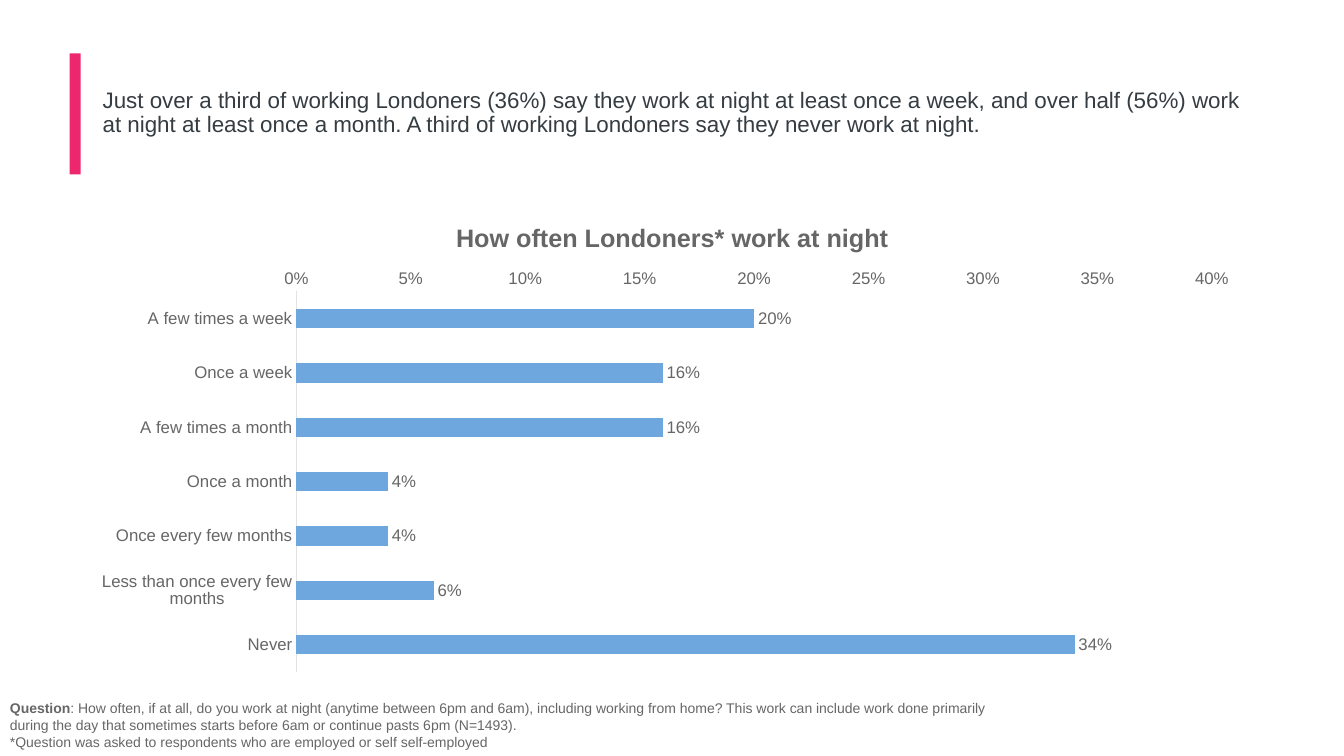
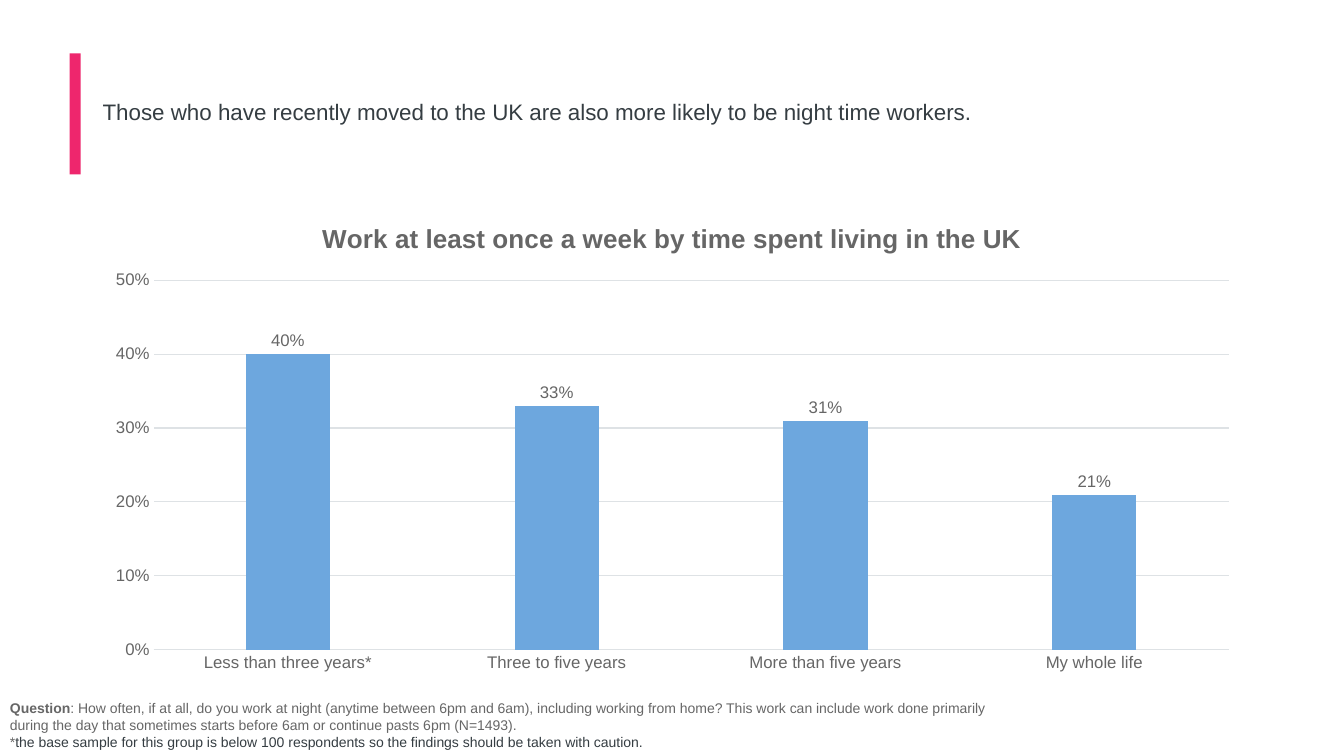
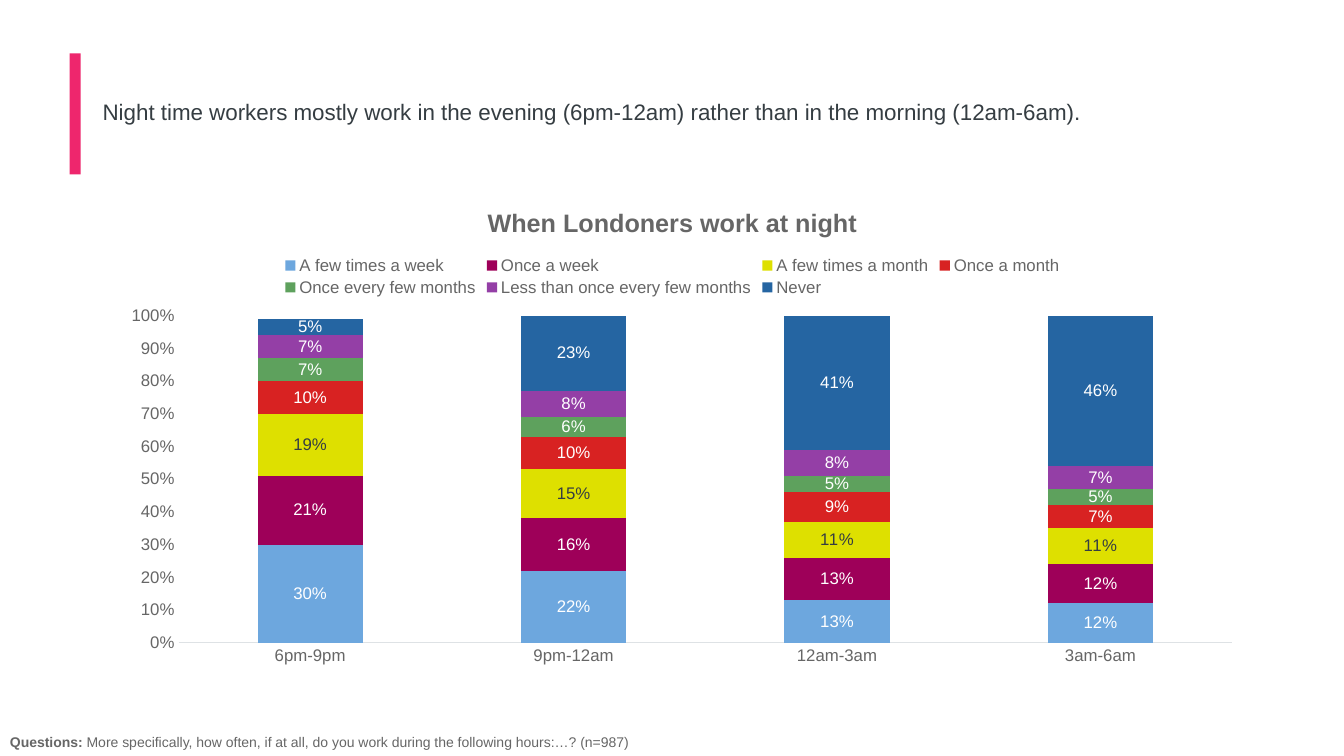
from lxml.etree import SubElement
from pptx import Presentation
from pptx.chart.data import CategoryChartData
from pptx.dml.color import RGBColor
from pptx.enum.chart import (XL_AXIS_CROSSES, XL_CHART_TYPE, XL_LABEL_POSITION,
                             XL_LEGEND_POSITION, XL_TICK_MARK)
from pptx.enum.shapes import MSO_SHAPE
from pptx.enum.text import MSO_ANCHOR
from pptx.oxml.ns import qn
from pptx.util import Pt

# Shared look
PINK, DARK, GREY, RULE = "EE266D", "353D42", "666666", "DEE2E5"
BLUE, WHITE = "6DA7DE", "FFFFFF"
WIDE, HIGH = 960, 540
LEFT, SPAN = 66.24, 828
BAR = (49.7, 38.2, 7.9, 86.4)
TITLE = (LEFT, 28.8, SPAN, 104.4)
FOOT = 716.4
BOTTOM = 486.7


def rgb(code):
    return RGBColor.from_string(code)


def style(font, size, code, bold=False):
    for key, val in {"name": "Arial", "size": Pt(size), "bold": bold}.items():
        setattr(font, key, val)
    font.color.rgb = rgb(code)


# Content
ASK = [("Question", GREY, True),
       (": How often, if at all, do you work at night (anytime between 6pm and 6am), "
        "including working from home? This work can include work done primarily during "
        "the day that sometimes starts before 6am or continue pasts 6pm (N=1493).",
        GREY, False)]
OFTEN = ["A few times a week", "Once a week", "A few times a month", "Once a month",
         "Once every few months", "Less than once every few months", "Never"]
HOURS = [
    (0.3, 0.22, 0.13, 0.12), (0.21, 0.16, 0.13, 0.12), (0.19, 0.15, 0.11, 0.11),
    (0.1, 0.1, 0.09, 0.07), (0.07, 0.06, 0.05, 0.05), (0.07, 0.08, 0.08, 0.07),
    (0.05, 0.23, 0.41, 0.46)]
FILLS = [BLUE, "9E0059", "DEE000", "D82222", "5EA15D", "943FA6", "2565A2"]
INKS = [WHITE, WHITE, DARK, WHITE, WHITE, WHITE, WHITE]

PAGES = [
    {"title": "Just over a third of working Londoners (36%) say they work at night at "
              "least once a week, and over half (56%) work at night at least once a "
              "month. A third of working Londoners say they never work at night.",
     "head": "How often Londoners* work at night", "size": 18,
     "kind": XL_CHART_TYPE.BAR_CLUSTERED, "top": 144, "cats": OFTEN,
     "rows": [("Series 1", (0.2, 0.16, 0.16, 0.04, 0.04, 0.06, 0.34), BLUE, GREY)],
     "plot": {"gap_width": 182},
     "cat": {"reverse_order": True, "crosses": XL_AXIS_CROSSES.MAXIMUM},
     "val": {"maximum_scale": 0.4, "major_unit": 0.05, "has_major_gridlines": False},
     "foot": [ASK, [("*Question was asked to respondents who are employed or self "
                     "self-employed", GREY, False)]], "tall": 43.92},
    {"title": "Those who have recently moved to the UK are also more likely to be "
              "night time workers.",
     "head": "Work at least once a week by time spent living in the UK", "size": 18.6,
     "kind": XL_CHART_TYPE.COLUMN_CLUSTERED, "top": 144,
     "cats": ["Less than three years*", "Three to five years",
              "More than five years", "My whole life"],
     "rows": [("Series 1", (0.4, 0.33, 0.31, 0.21), BLUE, GREY)],
     "plot": {"gap_width": 219, "overlap": -27}, "cat": {},
     "val": {"maximum_scale": 0.5, "major_unit": 0.1, "has_major_gridlines": True},
     "foot": [ASK, [("*", GREY, False),
                    ("the base sample for this group is below 100 respondents so the "
                     "findings should be taken with caution.", DARK, False)]],
     "tall": 43.92},
    {"title": "Night time workers mostly work in the evening (6pm-12am) rather than in "
              "the morning (12am-6am).",
     "head": "When Londoners work at night", "size": 18,
     "kind": XL_CHART_TYPE.COLUMN_STACKED, "top": 133.2,
     "cats": ["6pm-9pm", "9pm-12am", "12am-3am", "3am-6am"],
     "rows": list(zip(OFTEN, HOURS, FILLS, INKS)),
     "plot": {"gap_width": 150, "overlap": 100}, "cat": {},
     "val": {"maximum_scale": 1, "major_unit": 0.1, "has_major_gridlines": False},
     "area": {"x": 0.074, "y": 0.261, "w": 0.909, "h": 0.661},
     "foot": [[("Questions: ", GREY, True),
               ("More specifically, how often, if at all, do you work during the "
                "following hours:…? (n=987)", GREY, False)]], "tall": 19.44},
]

deck = Presentation()
deck.slide_width, deck.slide_height = Pt(WIDE), Pt(HIGH)

for page in PAGES:
    slide = deck.slides.add_slide(deck.slide_layouts[6])

    # Pink bar
    bar = slide.shapes.add_shape(MSO_SHAPE.RECTANGLE, *map(Pt, BAR))
    bar.shadow.inherit = False
    bar.fill.solid()
    bar.fill.fore_color.rgb = rgb(PINK)
    bar.line.fill.background()

    # Title and footnote
    note = (0, HIGH - page["tall"], FOOT, page["tall"])
    head = [[(page["title"], DARK, False)]]
    for spot, anchor, space, size, paras in [
            (TITLE, MSO_ANCHOR.MIDDLE, 0.9, 16, head),
            (note, MSO_ANCHOR.TOP, 1.0, 10, page["foot"])]:
        frame = slide.shapes.add_textbox(*map(Pt, spot)).text_frame
        frame.word_wrap = True
        frame.vertical_anchor = anchor
        for i, runs in enumerate(paras):
            para = frame.add_paragraph() if i else frame.paragraphs[0]
            para.line_spacing = space
            for text, code, bold in runs:
                run = para.add_run()
                run.text = text
                style(run.font, size, code, bold)

    # Chart
    data = CategoryChartData(number_format="0%")
    data.categories = page["cats"]
    for name, vals, _, _ in page["rows"]:
        data.add_series(name, vals)
    spot = (LEFT, page["top"], SPAN, BOTTOM - page["top"])
    chart = slide.shapes.add_chart(page["kind"], *map(Pt, spot), data).chart
    style(chart.font, 12, GREY)
    chart.has_title = True
    frame = chart.chart_title.text_frame
    frame.text = page["head"]
    style(frame.paragraphs[0].runs[0].font, page["size"], GREY, True)
    chart.chart_title.include_in_layout = False

    # Axes and plot
    plot, cat, val = chart.plots[0], chart.category_axis, chart.value_axis
    plot.vary_by_categories = False
    val.minimum_scale = 0
    for part, group in [(plot, "plot"), (cat, "cat"), (val, "val")]:
        for key, value in page[group].items():
            setattr(part, key, value)
    for axis in (cat, val):
        axis.major_tick_mark = axis.minor_tick_mark = XL_TICK_MARK.NONE
        style(axis.tick_labels.font, 12, GREY)
    val.tick_labels.number_format = "0%"
    val.tick_labels.number_format_is_linked = False
    val.format.line.fill.background()
    lines = [cat.format.line]
    if val.has_major_gridlines:
        lines.append(val.major_gridlines.format.line)
    for line in lines:
        line.color.rgb = rgb(RULE)
        line.width = Pt(0.75)

    # Series and labels
    many = len(page["rows"]) > 1
    for row, (_, _, fill, ink) in zip(plot.series, page["rows"]):
        row.format.fill.solid()
        row.format.fill.fore_color.rgb = rgb(fill)
        row.invert_if_negative = False
        tags = row.data_labels
        style(tags.font, 12, ink)
        place = XL_LABEL_POSITION.CENTER if many else XL_LABEL_POSITION.OUTSIDE_END
        for key, value in {"show_value": True, "number_format": "0%",
                           "number_format_is_linked": False,
                           "position": place}.items():
            setattr(tags, key, value)

    # Legend
    chart.has_legend = many
    if many:
        chart.legend.position = XL_LEGEND_POSITION.TOP
        chart.legend.include_in_layout = False
        style(chart.legend.font, 12, GREY)

    # Fixed plot area
    if "area" in page:
        area = chart._chartSpace.chart.plotArea
        for old in area.findall(qn("c:layout")):
            area.remove(old)
        outer = SubElement(area, qn("c:layout"))
        area.insert(0, outer)
        inner = SubElement(outer, qn("c:manualLayout"))
        rules = {"layoutTarget": "inner", "xMode": "edge", "yMode": "edge"}
        for key, value in {**rules, **page["area"]}.items():
            SubElement(inner, qn("c:" + key)).set("val", str(value))

deck.save("out.pptx")
